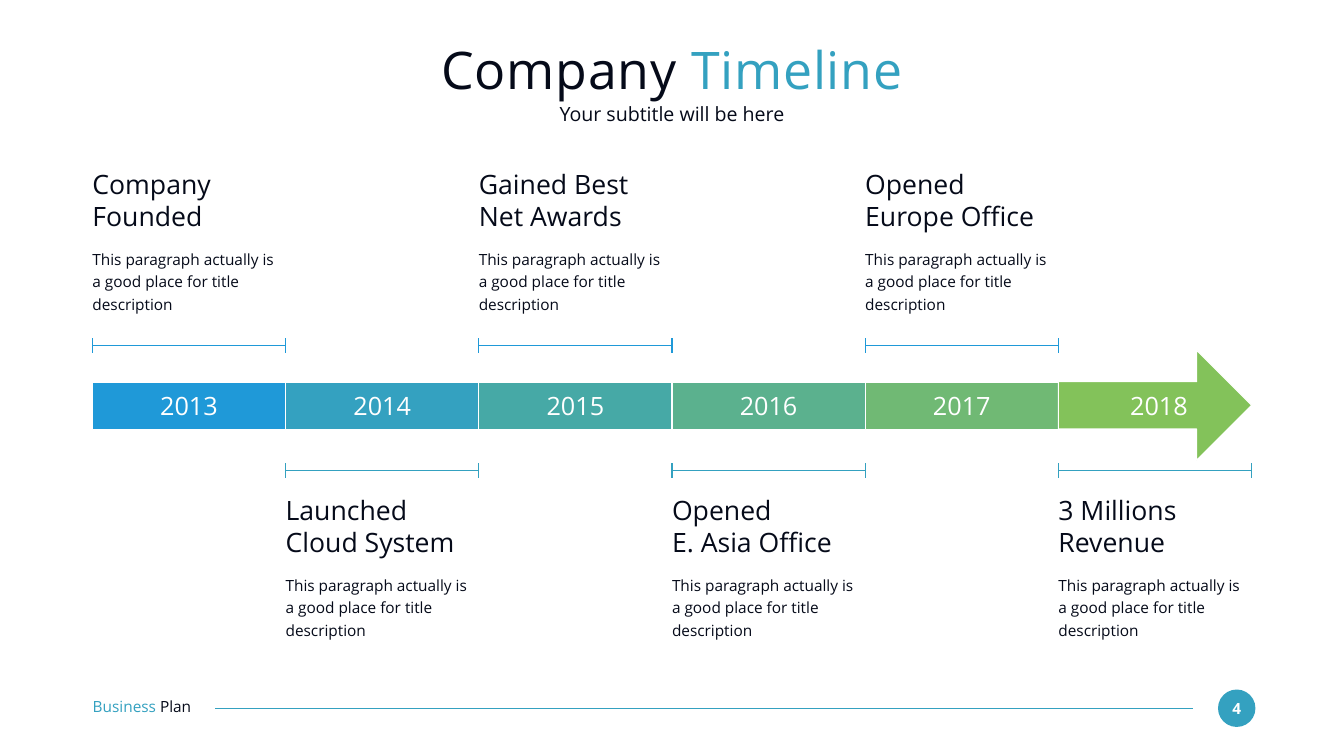
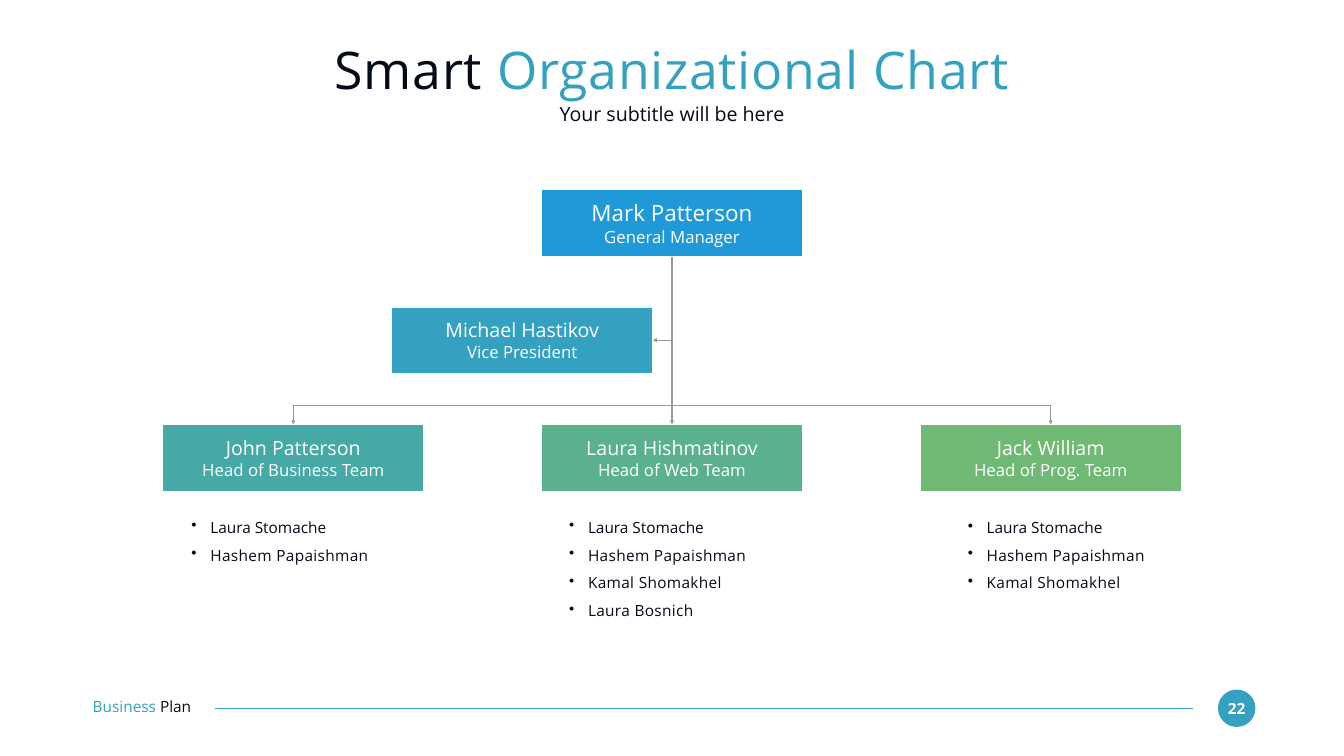
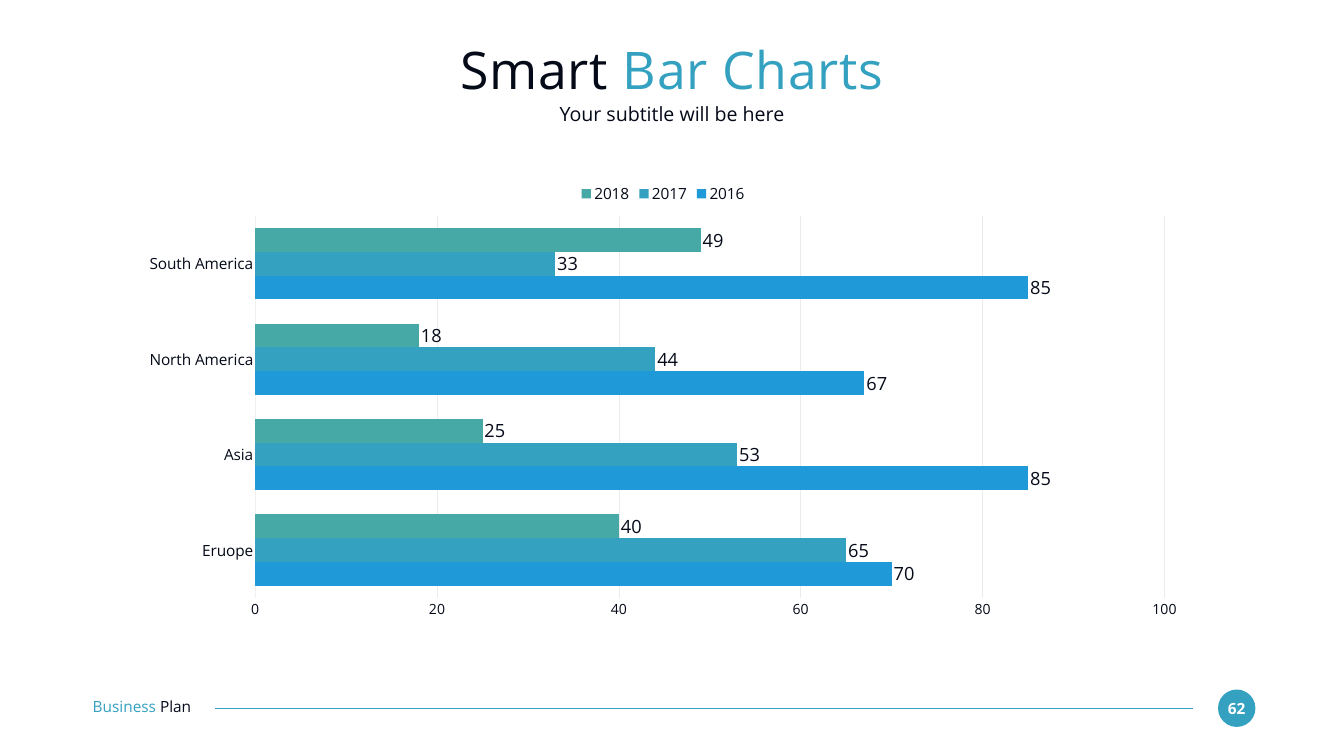
"""Build three business plan slides: a timeline, an organisation chart and a bar chart."""
from lxml.etree import SubElement
from pptx import Presentation
from pptx.chart.data import CategoryChartData
from pptx.dml.color import RGBColor
from pptx.enum.chart import XL_CHART_TYPE, XL_LABEL_POSITION, XL_LEGEND_POSITION, XL_TICK_MARK
from pptx.enum.shapes import MSO_CONNECTOR, MSO_SHAPE
from pptx.enum.text import MSO_ANCHOR, PP_ALIGN
from pptx.oxml.ns import qn
from pptx.util import Pt

rgb = RGBColor.from_string
FONT = "Open Sans"
INK, WHITE, GREY = "050A19", "FFFFFF", "999999"
BLUE, CYAN, TEAL, MINT, LEAF, LIME = SHADES = [
    "1F99D8", "34A1C0", "46A9A6", "5BB18E", "70B974", "83C25A"]
LEFT, CENTER = PP_ALIGN.LEFT, PP_ALIGN.CENTER


def write(shape, text, size, color=INK, align=LEFT, tail=None, space=None, fill=None, edge=0):
    """Put styled text in a shape; tail is a second run, fill and edge paint the shape."""
    frame = shape.text_frame
    frame.word_wrap = True
    frame.margin_left = frame.margin_right = frame.margin_top = frame.margin_bottom = 0
    frame.text = text
    if tail:
        frame.paragraphs[0].add_run().text = tail[0]
    for par in frame.paragraphs:
        par.alignment = align
        if space:
            par.line_spacing = space
        for run in par.runs:
            run.font.name, run.font.size = FONT, Pt(size)
            run.font.color.rgb = rgb(color)
    if tail:
        frame.paragraphs[0].runs[1].font.color.rgb = rgb(tail[1])
    if fill:
        frame.vertical_anchor = MSO_ANCHOR.MIDDLE
        shape.shadow.inherit = False
        shape.fill.solid()
        shape.fill.fore_color.rgb = rgb(fill)
        shape.line.fill.background()
        if edge:
            shape.line.color.rgb = rgb(WHITE)
            shape.line.width = Pt(edge)
    return frame


def rule(slide, x1, y1, x2, y2, color):
    """Draw a straight line without a shadow."""
    line = slide.shapes.add_connector(MSO_CONNECTOR.STRAIGHT, Pt(x1), Pt(y1), Pt(x2), Pt(y2))
    line.line.color.rgb = rgb(color)
    line.line.width = Pt(1.5)
    SubElement(line._element.spPr, qn("a:effectLst"))
    return line


deck = Presentation()
deck.slide_width, deck.slide_height = Pt(1920), Pt(1080)
slides = []
for first, rest, number in [("Company ", "Timeline", "4"),
                            ("Smart ", "Organizational Chart", "22"),
                            ("Smart ", "Bar Charts", "62")]:
    slide = deck.slides.add_slide(deck.slide_layouts[5])
    slides.append(slide)
    badge = slide.shapes.add_shape(MSO_SHAPE.OVAL, Pt(1740), Pt(985), Pt(53.5), Pt(53.5))
    frame = write(badge, number, 22, WHITE, CENTER, fill=CYAN)
    frame.paragraphs[0].runs[0].font.bold = True
    rule(slide, 307.5, 1011.5, 1704, 1011.5, CYAN)
    foot = slide.shapes.add_textbox(Pt(132.5), Pt(996.5), Pt(186.5), Pt(26.5))
    write(foot, "Business ", 22, CYAN, tail=("Plan", INK))
    title = slide.shapes.title
    title.left, title.top, title.width, title.height = Pt(132), Pt(52.5), Pt(1656), Pt(91.5)
    frame = write(title, first, 74, INK, CENTER, tail=(rest, CYAN))
    frame.vertical_anchor = MSO_ANCHOR.MIDDLE
    for run in frame.paragraphs[0].runs:
        run._r.get_or_add_rPr().set("spc", "100")
    under = slide.shapes.add_textbox(Pt(132), Pt(146), Pt(1656), Pt(35.5))
    write(under, "Your subtitle will be here", 28, INK, CENTER)
time, team, bars = slides

STEP = 276
events = ["Company Founded", "Launched Cloud System", "Gained Best\nNet Awards",
          "Opened\nE. Asia Office", "Opened\nEurope Office", "3 Millions\nRevenue"]
for i, (event, shade) in enumerate(zip(events, SHADES)):
    x = 132 + i * STEP
    last = i == len(events) - 1
    kind, top, high = (MSO_SHAPE.RIGHT_ARROW, 500.5, 157) if last else (MSO_SHAPE.RECTANGLE, 546, 67.5)
    block = time.shapes.add_shape(kind, Pt(x), Pt(top), Pt(STEP), Pt(high))
    frame = write(block, str(2013 + i), 36, WHITE, CENTER, fill=shade, edge=1.5)
    if last:
        block.adjustments[0] = 0.43
        frame.margin_left = Pt(45)
    mark, head, color = (672.5, 706, CYAN) if i % 2 else (494, 240.5, BLUE)
    rule(time, x, mark, x + STEP, mark, color)
    for end in (x, x + STEP):
        rule(time, end, mark - 10.5, end, mark + 10.5, color)
    name = time.shapes.add_textbox(Pt(x), Pt(head), Pt(STEP), Pt(92))
    write(name, event, 38)
    note = time.shapes.add_textbox(Pt(x), Pt(head + 112), Pt(STEP), Pt(96))
    write(note, "This paragraph actually is a good place for title description", 22, space=1.2)

MID, GAP, WIDE, HIGH = 960, 541, 373, 95
BOSS, VICE, HEADS = 271, 438.5, 606.5
base, fork = BOSS + HIGH, 579
arrows = [rule(team, MID, base, MID, HEADS, GREY)]
bends = [[(MID, VICE + HIGH / 2), (932.5, VICE + HIGH / 2)]]
bends += [[(MID, fork), (x, fork), (x, HEADS)] for x in (MID - GAP, MID + GAP)]
for bend in bends:
    pen = team.shapes.build_freeform(Pt(MID), Pt(base))
    pen.add_line_segments([(Pt(x), Pt(y)) for x, y in bend], close=False)
    path = pen.convert_to_shape()
    path.shadow.inherit = False
    path.fill.background()
    path.line.color.rgb = rgb(GREY)
    path.line.width = Pt(1.5)
    arrows.append(path)
for arrow in arrows:
    SubElement(arrow.line._get_or_add_ln(), qn("a:tailEnd"), type="triangle")

for x, y, size, shade, text in [
        (MID, BOSS, 32, BLUE, "Mark Patterson\nGeneral Manager"),
        (MID - GAP, HEADS, 28, TEAL, "John Patterson\nHead of Business Team"),
        (MID, HEADS, 28, MINT, "Laura Hishmatinov\nHead of Web Team"),
        (MID + GAP, HEADS, 28, LEAF, "Jack William\nHead of Prog. Team"),
        (746, VICE, 28, CYAN, "Michael Hastikov\nVice President")]:
    card = team.shapes.add_shape(MSO_SHAPE.RECTANGLE, Pt(x - WIDE / 2), Pt(y), Pt(WIDE), Pt(HIGH))
    frame = write(card, text, size, WHITE, CENTER, fill=shade, edge=1)
    frame.paragraphs[1].runs[0].font.size = Pt(24)

staff = ["Laura Stomache", "Hashem Papaishman", "Kamal Shomakhel", "Laura Bosnich"]
for x, count in [(273.5, 2), (813, 4), (1382.5, 3)]:
    roll = team.shapes.add_textbox(Pt(x), Pt(727), Pt(276), Pt(40 * count))
    frame = write(roll, "\n".join(staff[:count]), 22, space=1.5)
    for i, par in enumerate(frame.paragraphs):
        props = par._p.get_or_add_pPr()
        props.set("marL", str(Pt(27)))
        props.set("indent", str(-Pt(27)))
        SubElement(props, qn("a:buChar"), char="•")
        if i:
            par.runs[0]._r.get_or_add_rPr().set("spc", "50")

data = CategoryChartData()
data.categories = ["Eruope", "Asia", "North America", "South America"]
data.add_series("2016", [70, 85, 67, 85])
data.add_series("2017", [65, 53, 44, 33])
data.add_series("2018", [40, 25, 18, 49])
chart = bars.shapes.add_chart(XL_CHART_TYPE.BAR_CLUSTERED, Pt(183), Pt(252.5),
                              Pt(1528.5), Pt(645), data).chart
chart.has_title = False
chart.has_legend = True
chart.legend.position = XL_LEGEND_POSITION.TOP
chart.legend.include_in_layout = False
plot = chart.plots[0]
plot.gap_width, plot.overlap, plot.vary_by_categories = 102, 0, False
plot.has_data_labels = True
labels = plot.data_labels
labels.show_value = True
labels.position = XL_LABEL_POSITION.OUTSIDE_END
for series, shade in zip(plot.series, SHADES):
    series.format.fill.solid()
    series.format.fill.fore_color.rgb = rgb(shade)
cats, vals = chart.category_axis, chart.value_axis
for axis in (cats, vals):
    axis.major_tick_mark = axis.minor_tick_mark = XL_TICK_MARK.NONE
cats.format.line.color.rgb = rgb("F0F0F0")
cats.format.line.width = Pt(0.75)
vals.minimum_scale, vals.maximum_scale, vals.major_unit = 0, 100, 20
vals.format.line.fill.background()
vals.has_major_gridlines = True
vals.major_gridlines.format.line.color.rgb = rgb("EBEBEB")
vals.major_gridlines.format.line.width = Pt(1)
for font, size in [(chart.font, 22), (chart.legend.font, 22), (labels.font, 26),
                   (cats.tick_labels.font, 22), (vals.tick_labels.font, 20)]:
    font.name, font.size = FONT, Pt(size)
    font.color.rgb = rgb(INK)

deck.save("out.pptx")
